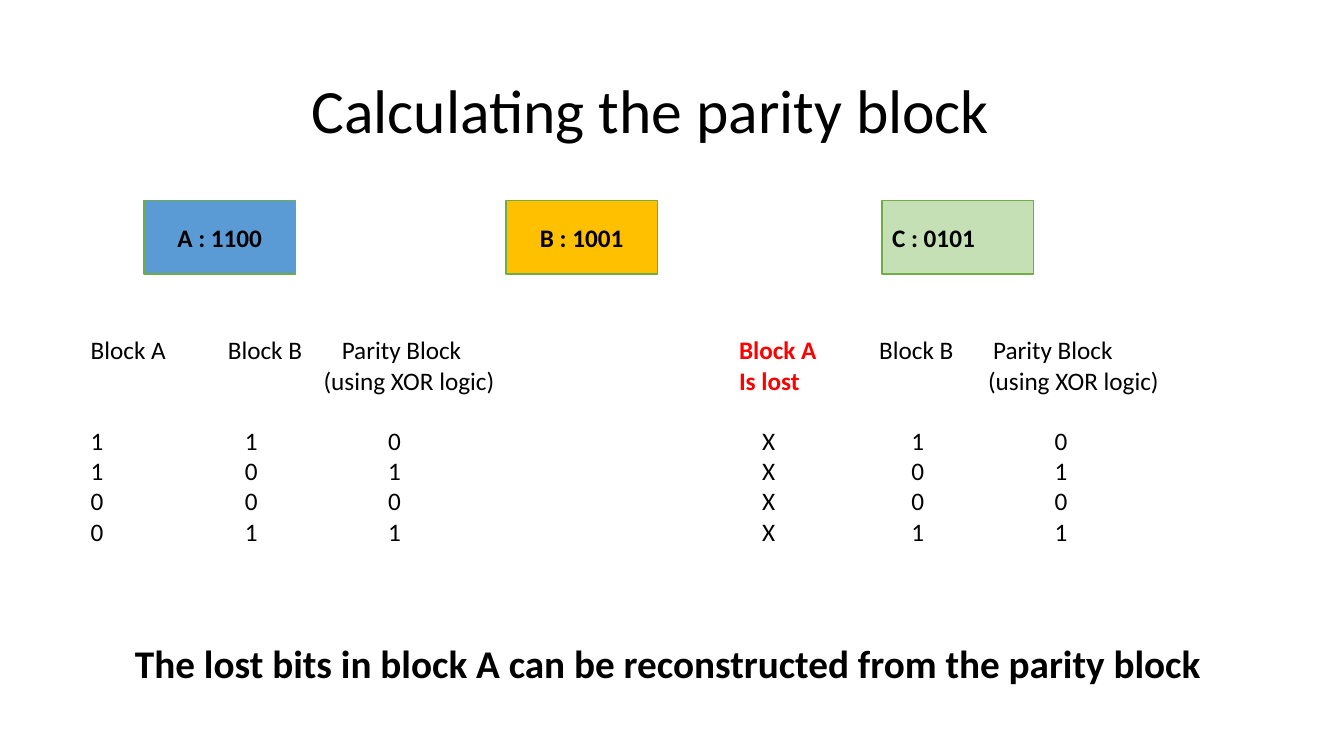
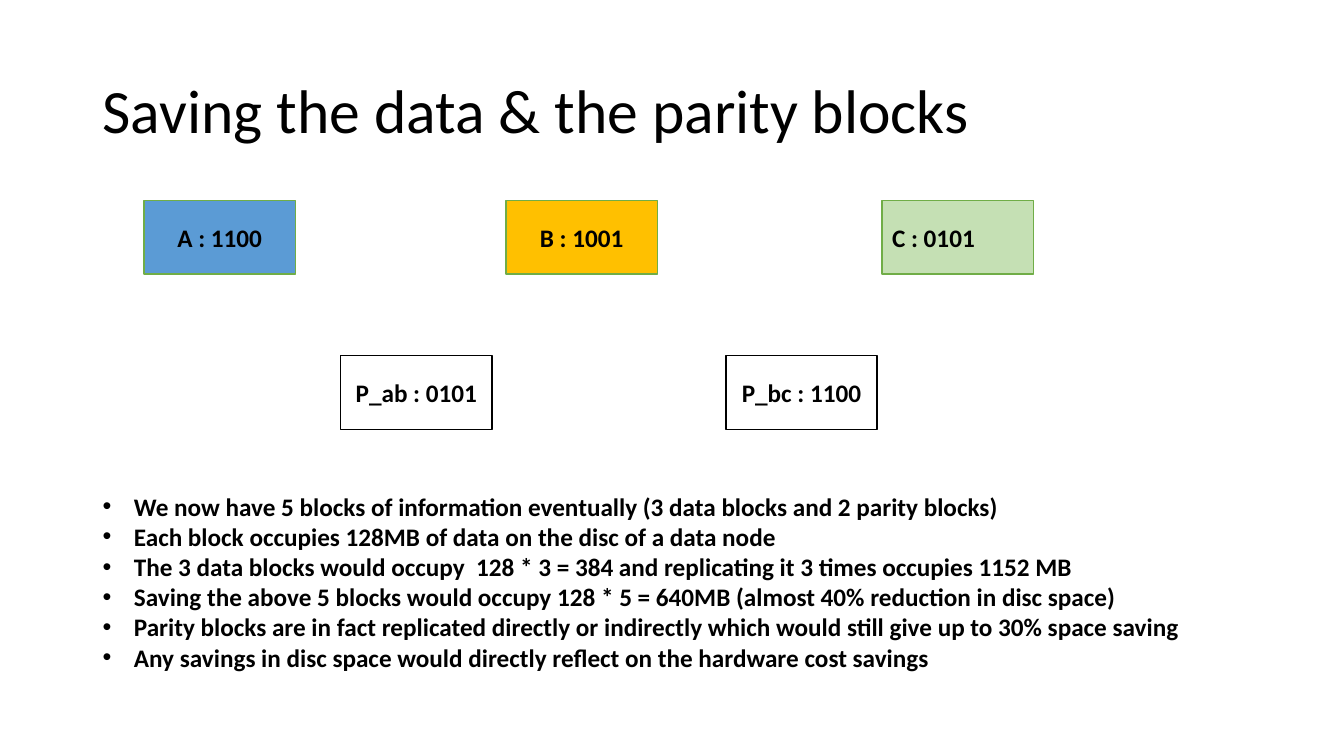
from lxml.etree import SubElement
from pptx import Presentation
from pptx.dml.color import RGBColor
from pptx.enum.shapes import MSO_SHAPE
from pptx.enum.text import MSO_ANCHOR, PP_ALIGN
from pptx.oxml.ns import qn
from pptx.util import Inches, Pt

FONT = "Calibri"
COLORS = {
    "text": "000000",
    "lost": "FF0000",
    "block_a": "5B9BD5",
    "block_b": "FFC000",
    "block_c": "C5E0B4",
    "data_line": "70AD47",
    "parity": "FFFFFF",
    "parity_line": "000000",
}
BLOCK_WIDTH, BLOCK_HEIGHT = 1.5, 0.73
DATA_TOP, PARITY_TOP = 1.99, 3.53
DATA_BLOCKS = [
    ("A : 1100", 1.43, "block_a", PP_ALIGN.CENTER),
    ("B : 1001", 5.02, "block_b", PP_ALIGN.CENTER),
    ("C : 0101", 8.75, "block_c", PP_ALIGN.LEFT),
]
PARITY_BLOCKS = [("P_ab : 0101", 3.38), ("P_bc : 1100", 7.2)]
HEADER_HEIGHT, ROW_HEIGHT = 0.9, 0.3
BITS_B, BITS_PARITY = "1001", "0101"
SAVINGS = [
    "We now have 5 blocks of information eventually (3 data blocks and 2 parity blocks)",
    "Each block occupies 128MB of data on the disc of a data node",
    "The 3 data blocks would occupy  128 * 3 = 384 and replicating it 3 times occupies 1152 MB",
    "Saving the above 5 blocks would occupy 128 * 5 = 640MB (almost 40% reduction in disc space)",
    "Parity blocks are in fact replicated directly or indirectly which would still give up to 30% space saving",
    "Any savings in disc space would directly reflect on the hardware cost savings",
]


def rgb(name):
    return RGBColor.from_string(COLORS[name])


def write(paragraph, text, size=18, bold=False, color="text", align=PP_ALIGN.LEFT,
          indent=0, bullet=False, line_spacing=None):
    """Fill a paragraph with one formatted run; indent is in inches."""
    paragraph.alignment = align
    if line_spacing:
        paragraph.line_spacing = line_spacing
    properties = paragraph._p.get_or_add_pPr()
    properties.set("marL", str(Inches(indent)))
    if bullet:
        properties.set("indent", str(-Inches(indent)))
        SubElement(properties, qn("a:buFont"), typeface="Arial")
        SubElement(properties, qn("a:buChar"), char="•")
    run = paragraph.add_run()
    run.text = text
    run.font.name = FONT
    run.font.size = Pt(size)
    run.font.bold = bold
    run.font.color.rgb = rgb(color)


def write_lines(frame, lines, **text_format):
    for number, line in enumerate(lines):
        paragraph = frame.add_paragraph() if number else frame.paragraphs[0]
        write(paragraph, line, **text_format)


def add_text(slide, left, top, width, height, lines, wrap=True,
             anchor=MSO_ANCHOR.TOP, **text_format):
    box = slide.shapes.add_textbox(Inches(left), Inches(top), Inches(width), Inches(height))
    box.text_frame.word_wrap = wrap
    box.text_frame.vertical_anchor = anchor
    write_lines(box.text_frame, lines, **text_format)


def add_block(slide, label, left, top, fill, line, align=PP_ALIGN.CENTER):
    block = slide.shapes.add_shape(MSO_SHAPE.RECTANGLE, Inches(left), Inches(top),
                                   Inches(BLOCK_WIDTH), Inches(BLOCK_HEIGHT))
    block.shadow.inherit = False
    block.fill.solid()
    block.fill.fore_color.rgb = rgb(fill)
    block.line.color.rgb = rgb(line)
    block.line.width = Pt(1)
    block.text_frame.vertical_anchor = MSO_ANCHOR.MIDDLE
    write_lines(block.text_frame, [label], bold=True, align=align)


def add_slide(presentation, title, title_indent=0):
    """Add a slide with its title and the three data blocks."""
    slide = presentation.slides.add_slide(presentation.slide_layouts[6])
    add_text(slide, 0.92, 0.4, 11.5, 1.45, [title], anchor=MSO_ANCHOR.MIDDLE,
             size=44, indent=title_indent, line_spacing=0.9)
    for label, left, fill, align in DATA_BLOCKS:
        add_block(slide, label, left, DATA_TOP, fill, "data_line", align)
    return slide


def add_bit_table(slide, left, columns):
    """Each column is (width, header lines with indents, bits, bit indent, header format)."""
    row_count = 1 + len(BITS_B)
    width = sum(column[0] for column in columns)
    height = HEADER_HEIGHT + ROW_HEIGHT * len(BITS_B)
    table = slide.shapes.add_table(row_count, len(columns), Inches(left), Inches(3.33),
                                   Inches(width), Inches(height)).table
    table.first_row = table.horz_banding = False
    for number, row in enumerate(table.rows):
        row.height = Inches(ROW_HEIGHT if number else HEADER_HEIGHT)
    for index, (column_width, headers, bits, bit_indent, header_format) in enumerate(columns):
        table.columns[index].width = Inches(column_width)
        for number in range(row_count):
            cell = table.cell(number, index)
            cell.fill.background()
            cell.margin_left = cell.margin_right = 0
            cell.margin_top = cell.margin_bottom = 0
            if number:
                write_lines(cell.text_frame, [bits[number - 1]], indent=bit_indent)
                continue
            for position, (header, indent) in enumerate(headers):
                frame = cell.text_frame
                paragraph = frame.add_paragraph() if position else frame.paragraphs[0]
                write(paragraph, header, indent=indent, **header_format)


def add_parity_slide(presentation):
    slide = add_slide(presentation, "Calculating the parity block", title_indent=2.07)
    note = ("(using XOR logic)", 0)
    add_bit_table(slide, 0.9, [
        (1.36, [("Block A", 0)], "1100", 0, {}),
        (0.95, [("Block B", 0)], BITS_B, 0.17, {}),
        (1.9, [("Parity Block", 0.18), note], BITS_PARITY, 0.64, {}),
    ])
    add_bit_table(slide, 7.33, [
        (1.39, [("Block A", 0), ("Is lost", 0)], "XXXX", 0.23, {"bold": True, "color": "lost"}),
        (1.08, [("Block B", 0)], BITS_B, 0.32, {}),
        (1.9, [("Parity Block", 0.05), note], BITS_PARITY, 0.66, {}),
    ])
    add_text(slide, 1.24, 6.29, 10.99, 0.57,
             ["The lost bits in block A can be reconstructed from the parity block"],
             wrap=False, size=28, bold=True)


def add_saving_slide(presentation):
    slide = add_slide(presentation, "Saving the data & the parity blocks")
    for label, left in PARITY_BLOCKS:
        add_block(slide, label, left, PARITY_TOP, "parity", "parity_line")
    add_text(slide, 0.92, 4.82, 10.97, 1.92, SAVINGS, wrap=False,
             bold=True, indent=0.31, bullet=True)


def main():
    presentation = Presentation()
    presentation.slide_width = Inches(13.33)
    presentation.slide_height = Inches(7.5)
    add_parity_slide(presentation)
    add_saving_slide(presentation)
    presentation.save("out.pptx")


if __name__ == "__main__":
    main()
